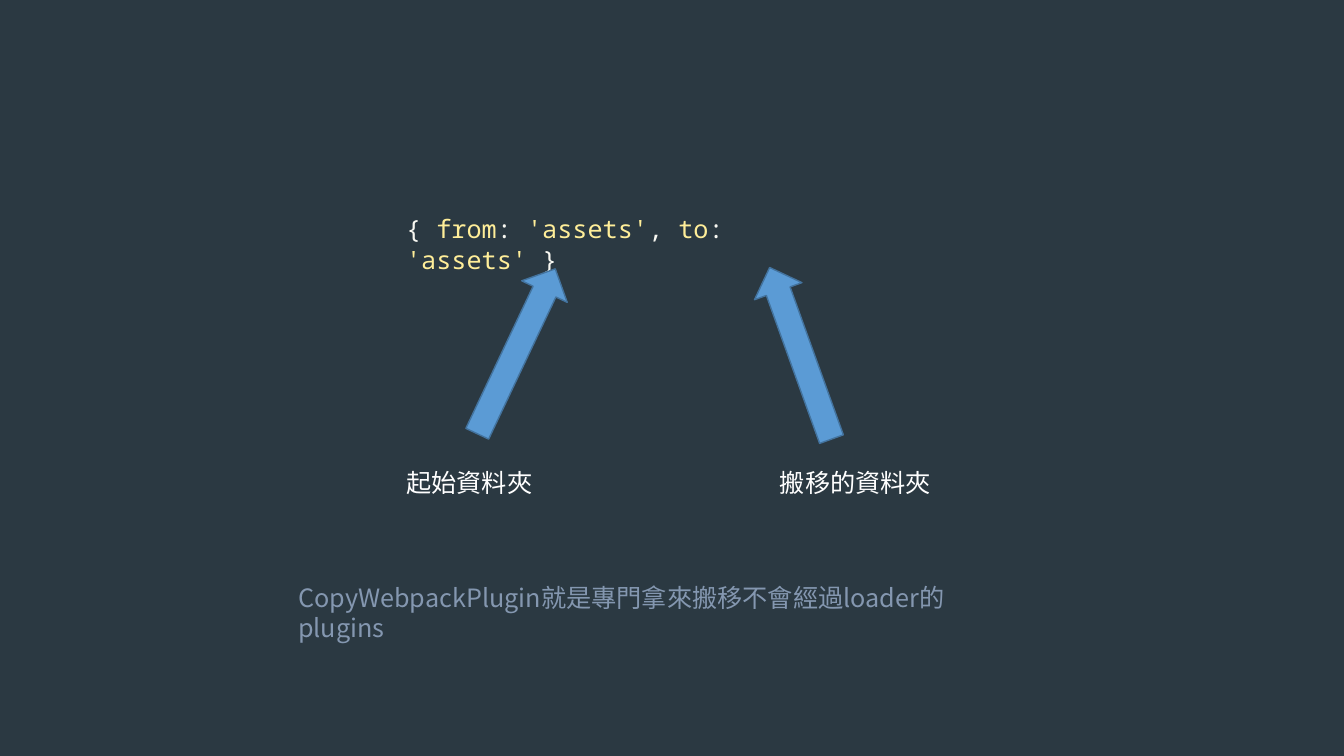
from lxml import etree
from pptx import Presentation
from pptx.dml.color import RGBColor
from pptx.enum import shapes, text
from pptx.oxml.ns import qn
from pptx.util import Inches, Pt

COLORS = {
    "background": "2B3942", "code": "F8F8F2", "keyword": "FFEE99",
    "label": "FFFFFF", "note": "8497B0", "arrow": "5B9BD5", "outline": "43739E",
}
SANS, MONO = "Noto Sans CJK SC", "Noto Sans Mono"

# Content: runs are (text, colour), boxes are (left, top, width, height)
CODE = [
    ("{ ", "code"), ("from", "keyword"), (": ", "code"), ("'assets'", "keyword"),
    (", ", "code"), ("to", "keyword"), (": ", "code"), ("'assets'", "keyword"),
    (" }", "code"),
]
CODE_BOX = (3.43, 2.07, 5.14, 0.4)
LABELS = [("起始資料夾", 3.43), ("搬移的資料夾", 7.26)]  # text, left
ARROWS = [(4.87, 2.58, 205.3), (7.69, 2.6, 160.2)]  # left, top, rotation
NOTE = "CopyWebpackPlugin就是專門拿來搬移不會經過loader的plugins"
NOTE_BOX = (2.86, 5.73, 7.46, 0.4)


def rgb(name):
    return RGBColor.from_string(COLORS[name])


def add_text(slide, box, runs, font_name):
    """Add a one-paragraph text box and return its paragraph."""
    frame = slide.shapes.add_textbox(*map(Inches, box)).text_frame
    frame.word_wrap = True
    frame.auto_size = text.MSO_AUTO_SIZE.SHAPE_TO_FIT_TEXT
    paragraph = frame.paragraphs[0]
    for content, color in runs:
        run = paragraph.add_run()
        run.text = content
        run.font.size = Pt(18)
        run.font.name = font_name
        run.font.color.rgb = rgb(color)
        east_asian = etree.SubElement(run.font._element, qn("a:ea"))
        east_asian.set("typeface", font_name)
    return paragraph


def add_arrow(slide, left, top, rotation):
    arrow = slide.shapes.add_shape(
        shapes.MSO_SHAPE.DOWN_ARROW,
        Inches(left), Inches(top), Inches(0.5), Inches(1.81))
    arrow.rotation = rotation
    arrow.shadow.inherit = False
    arrow.fill.solid()
    arrow.fill.fore_color.rgb = rgb("arrow")
    arrow.line.color.rgb = rgb("outline")
    arrow.line.width = Pt(1)


def main():
    presentation = Presentation()
    presentation.slide_width = Inches(13.33)
    presentation.slide_height = Inches(7.5)
    slide = presentation.slides.add_slide(presentation.slide_layouts[6])
    slide.background.fill.solid()
    slide.background.fill.fore_color.rgb = rgb("background")

    # Code line, indented one level
    code = add_text(slide, CODE_BOX, CODE, MONO)
    code.level = 1
    code._p.get_or_add_pPr().set("marL", str(Inches(0.5)))

    # Arrows from the labels up to the code
    for left, top, rotation in ARROWS:
        add_arrow(slide, left, top, rotation)

    # Folder labels
    for content, left in LABELS:
        label = add_text(slide, (left, 4.44, 2.45, 0.51), [(content, "label")], SANS)
        label.alignment = text.PP_ALIGN.CENTER
        label.line_spacing = 1.5

    # Closing note
    add_text(slide, NOTE_BOX, [(NOTE, "note")], SANS)

    presentation.save("out.pptx")


if __name__ == "__main__":
    main()
